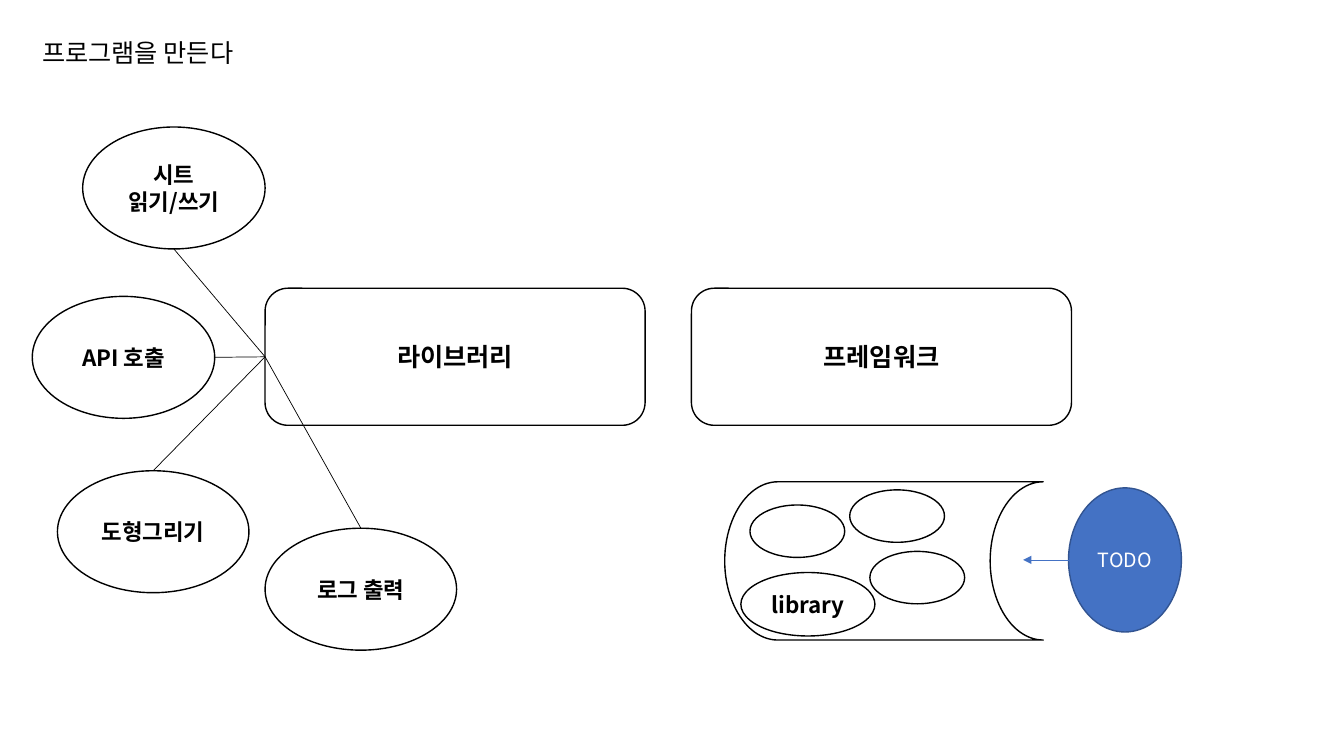
from lxml.etree import SubElement
from pptx import Presentation
from pptx.dml.color import RGBColor
from pptx.enum.shapes import MSO_CONNECTOR, MSO_SHAPE
from pptx.enum.text import MSO_ANCHOR, PP_ALIGN
from pptx.oxml.ns import qn
from pptx.util import Inches, Pt

# Content: places are columns and rows of a grid with 0.1 inch cells
CELL = 0.1
SLIDE_COLS, SLIDE_ROWS = 133.33, 75
FONT = "Noto Sans CJK KR"
BLACK, WHITE, BLUE, DARK_BLUE = "000000", "FFFFFF", "4472C4", "325491"

TITLE = ("프로그램을 만든다", (3.2, 3.2, 23.1, 4))
BOX_TOP, BOX_SIZE = 28.6, (37.7, 13.6)
BOXES = [("라이브러리", 26.3), ("프레임워크", 68.6)]
# Lines, place, and the side where the link to the library box starts
FEATURES = [
    (["시트", "읽기/쓰기"], (8.2, 12.6, 18.1, 12.1), "bottom"),
    (["API 호출"], (3.2, 29.4, 18.1, 12.1), "right"),
    (["도형그리기"], (5.7, 46.7, 19, 12.1), "top"),
    (["로그 출력"], (26.3, 52.4, 19, 12.1), "top"),
]
LIBRARY = ("library", (73.5, 56.8, 13.3, 6.3))
PART_SIZE = (9.4, 5.2)
PARTS = [(74.4, 50.1), (86.3, 54.7), (84.3, 48.6)]
FRAME = (71.9, 47.8, 31.6, 15.7)
TODO = ("TODO", (106, 48.4, 11.2, 14.3))
ARROW_LENGTH = 4.5

SIDES = {"left": (0, 0.5), "right": (1, 0.5), "top": (0.5, 0), "bottom": (0.5, 1)}


def color(hex_code):
    return RGBColor.from_string(hex_code)


def grid(*cells):
    return [Inches(cell * CELL) for cell in cells]


def side_point(place, side):
    left, top, width, height = place
    across, down = SIDES[side]
    return left + width * across, top + height * down


def add_line_of_text(paragraph, words, size, ink, bold=False):
    run = paragraph.add_run()
    run.text = words
    run.font.size, run.font.bold = Pt(size), bold
    run.font.name = FONT
    run.font.color.rgb = color(ink)
    SubElement(run.font._element, qn("a:ea"), typeface=FONT)


def add_figure(kind, place, lines=(), size=16, ink=BLACK, bold=True, fill=None, outline=BLACK):
    figure = slide.shapes.add_shape(kind, *grid(*place))
    figure.shadow.inherit = False
    if fill:
        figure.fill.solid()
        figure.fill.fore_color.rgb = color(fill)
    else:
        figure.fill.background()
    figure.line.color.rgb = color(outline)
    figure.line.width = Pt(1)
    frame = figure.text_frame
    frame.word_wrap = True
    frame.vertical_anchor = MSO_ANCHOR.MIDDLE
    for number, words in enumerate(lines):
        paragraph = frame.add_paragraph() if number else frame.paragraphs[0]
        paragraph.alignment = PP_ALIGN.CENTER
        add_line_of_text(paragraph, words, size, ink, bold)


def add_link(start, end, ink=BLACK, arrow=False):
    link = slide.shapes.add_connector(MSO_CONNECTOR.STRAIGHT, *grid(*start, *end))
    link.line.color.rgb = color(ink)
    link.line.width = Pt(0.5)
    if arrow:
        SubElement(link.line._get_or_add_ln(), qn("a:tailEnd"), type="triangle")
    SubElement(link._element.spPr, qn("a:effectLst"))


prs = Presentation()
prs.slide_width, prs.slide_height = grid(SLIDE_COLS, SLIDE_ROWS)
slide = prs.slides.add_slide(prs.slide_layouts[6])

# Title
title_words, title_place = TITLE
title = slide.shapes.add_textbox(*grid(*title_place)).text_frame
title.word_wrap = False
add_line_of_text(title.paragraphs[0], title_words, 18, BLACK)

# Library and framework boxes
for words, left in BOXES:
    add_figure(MSO_SHAPE.ROUNDED_RECTANGLE, (left, BOX_TOP, *BOX_SIZE), [words], size=18)

# Features linked to the library box
hub = side_point((BOXES[0][1], BOX_TOP, *BOX_SIZE), "left")
for lines, place, side in FEATURES:
    add_figure(MSO_SHAPE.OVAL, place, lines)
    add_link(side_point(place, side), hub)

# Framework holding libraries
library_words, library_place = LIBRARY
add_figure(MSO_SHAPE.OVAL, library_place, [library_words])
for corner in PARTS:
    add_figure(MSO_SHAPE.OVAL, (*corner, *PART_SIZE))
add_figure(MSO_SHAPE.FLOWCHART_STORED_DATA, FRAME)

# Part left to fill in
todo_words, todo_place = TODO
add_figure(MSO_SHAPE.OVAL, todo_place, [todo_words], size=14, ink=WHITE, bold=False,
           fill=BLUE, outline=DARK_BLUE)
arrow_x, arrow_y = side_point(todo_place, "left")
add_link((arrow_x, arrow_y), (arrow_x - ARROW_LENGTH, arrow_y), BLUE, arrow=True)

prs.save("out.pptx")
